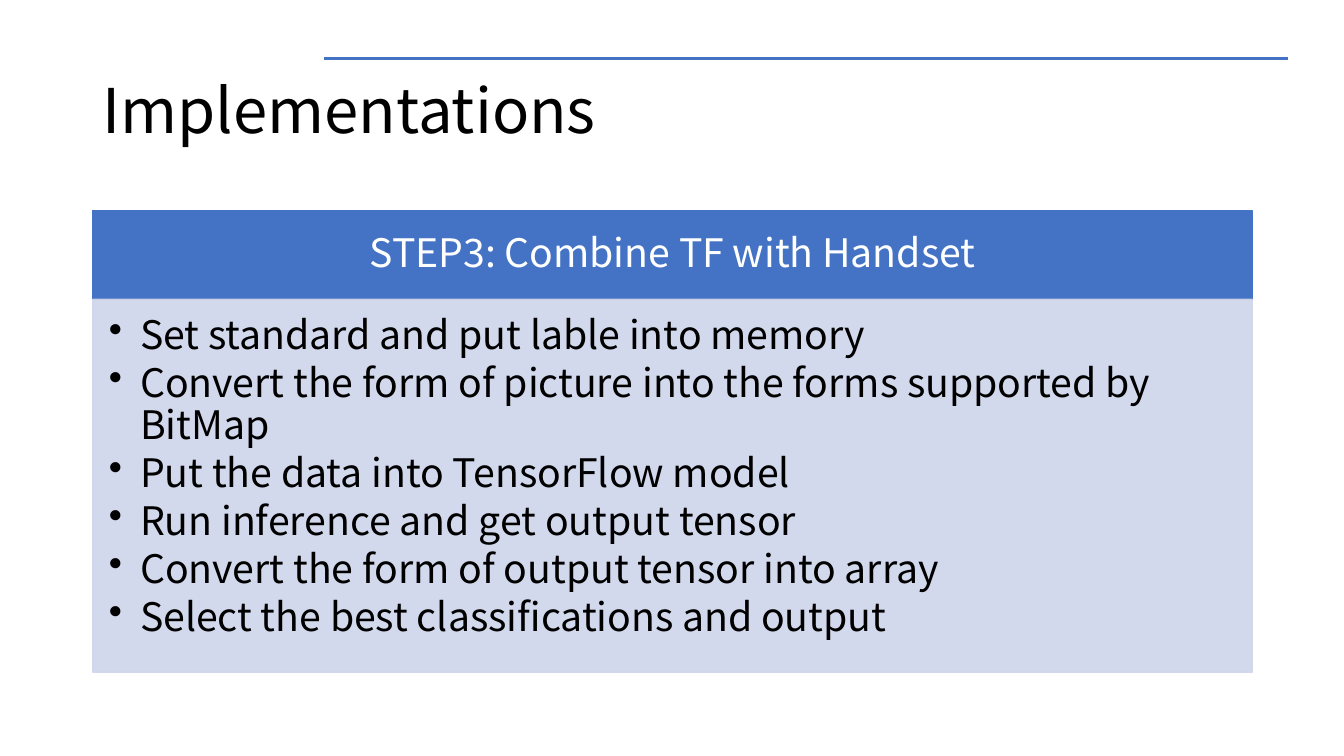
from pptx import Presentation
from pptx.dml.color import RGBColor
from pptx.enum.shapes import MSO_SHAPE
from pptx.enum.text import MSO_ANCHOR, PP_ALIGN
from pptx.oxml.ns import qn
from pptx.util import Inches, Pt
from lxml.etree import SubElement

FONT = "Noto Sans CJK SC"
COLORS = {"blue": "4472C4", "pale": "CFD5EA", "white": "FFFFFF", "black": "000000"}
LEFT, WIDTH = 0.92, 11.5
STEPS = [
    "Set standard and put lable into memory",
    "Convert the form of picture into the forms supported by BitMap",
    "Put the data into TensorFlow model",
    "Run inference and get output tensor",
    "Convert the form of output tensor into array",
    "Select the best classifications and output",
]


def color(name):
    return RGBColor.from_string(COLORS[name])


def add_box(slide, at, fill, line, width=1, alpha=None):
    box = slide.shapes.add_shape(MSO_SHAPE.RECTANGLE, *map(Inches, at))
    box.shadow.inherit = False
    box.fill.solid()
    box.fill.fore_color.rgb = color(fill)
    box.line.color.rgb = color(line)
    box.line.width = Pt(width)
    if alpha:
        for tint in box._element.spPr.iter(qn("a:srgbClr")):
            SubElement(tint, qn("a:alpha"), val=str(alpha * 1000))
    return box


def set_text(shape, text, size, tone, insets, anchor=MSO_ANCHOR.MIDDLE,
             align=PP_ALIGN.LEFT, after=0):
    frame = shape.text_frame
    frame.text = text
    frame.word_wrap = True
    frame.vertical_anchor = anchor
    (frame.margin_left, frame.margin_top,
     frame.margin_right, frame.margin_bottom) = map(Inches, insets)
    for para in frame.paragraphs:
        para.alignment = align
        para.line_spacing = 0.9
        para.space_after = Pt(after)
        for run in para.runs:
            run.font.name = FONT
            run.font.size = Pt(size)
            run.font.color.rgb = color(tone)


def add_bullets(shape, indent):
    for para in shape.text_frame.paragraphs:
        props = para._p.get_or_add_pPr()
        props.set("marL", str(Inches(indent)))
        props.set("indent", str(-Inches(indent)))
        SubElement(props, qn("a:buChar"), char="•")


def main():
    deck = Presentation()
    deck.slide_width, deck.slide_height = Inches(13.33), Inches(7.5)
    slide = deck.slides.add_slide(deck.slide_layouts[6])

    # Rule and title
    add_box(slide, (3.2, 0.56, 9.59, 0.05), "blue", "white", 1.5)
    title = slide.shapes.add_textbox(*map(Inches, (LEFT, 0.4, WIDTH, 1.45)))
    set_text(title, "Implementations", 44, "black", (0.1, 0.05, 0.1, 0.05))

    # Step header
    head = add_box(slide, (LEFT, 2.09, WIDTH, 0.88), "blue", "blue")
    set_text(head, "STEP3: Combine TF with Handset", 28, "white",
             (0.22, 0.12, 0.22, 0.12), align=PP_ALIGN.CENTER)

    # Step list
    body = add_box(slide, (LEFT, 2.97, WIDTH, 3.7), "pale", "pale", alpha=90)
    set_text(body, "\n".join(STEPS), 28, "black", (0.16, 0.16, 0.22, 0.24),
             MSO_ANCHOR.TOP, after=4)
    add_bullets(body, 0.31)

    deck.save("out.pptx")


if __name__ == "__main__":
    main()
